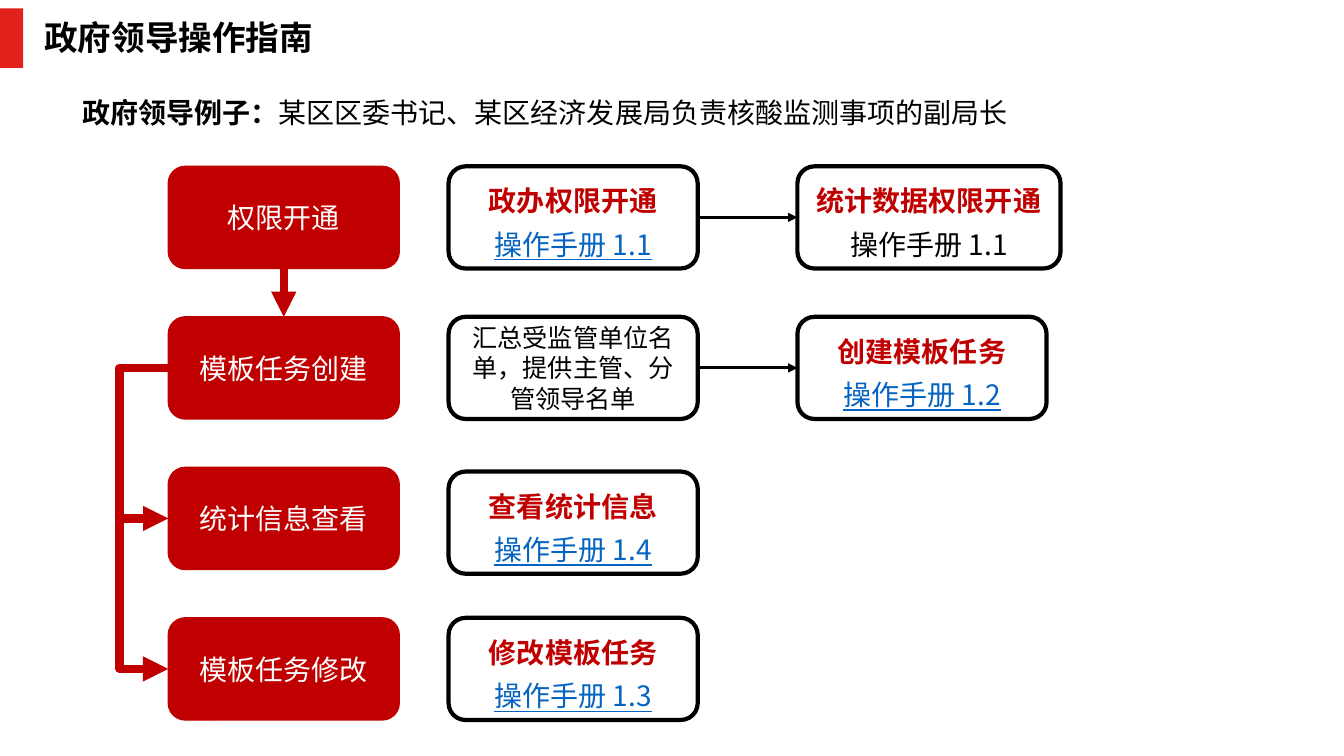
from dataclasses import dataclass

from lxml import etree
from pptx import Presentation
from pptx import util as u
from pptx.dml.color import RGBColor
from pptx.enum import shapes, text
from pptx.oxml.ns import qn

Pt = u.Pt
FONT = "Noto Sans CJK SC"
COLORS = {"accent": "E2211C", "red": "C00000", "black": "000000",
          "white": "FFFFFF", "link": "0563C1"}

ROW_TOP, ROW_PITCH = 118.8, 107.5
BOX_HEIGHT = 73
STAGE_LEFT, STAGE_WIDTH = 120.2, 165
STEP_LEFT, NEXT_LEFT, STEP_WIDTH = 320.4, 569.6, 178
LOOP_LEFT = 85.5


@dataclass
class Step:
    row: int
    left: float
    heading: str
    manual: str
    width: float = STEP_WIDTH
    linked: bool = True
    shift: float = 0


STAGES = ["权限开通", "模板任务创建", "统计信息查看", "模板任务修改"]
STEPS = [
    Step(0, STEP_LEFT, "政办权限开通", "操作手册 1.1"),
    Step(0, NEXT_LEFT, "统计数据权限开通", "操作手册 1.1", 188, False),
    Step(1, NEXT_LEFT, "创建模板任务", "操作手册 1.2"),
    Step(2, STEP_LEFT, "查看统计信息", "操作手册 1.4", shift=3),
    Step(3, STEP_LEFT, "修改模板任务", "操作手册 1.3"),
]


def color(name: str) -> RGBColor:
    return RGBColor.from_string(COLORS[name])


def row_top(row: int) -> float:
    return ROW_TOP + row * ROW_PITCH


def format_run(run, size: float, color_name: str, bold: bool = False,
               underline: bool = False) -> None:
    """Format a run, naming the font for Latin and East Asian letters."""
    font = run.font
    font.name, font.size, font.bold = FONT, Pt(size), bold
    font.color.rgb = color(color_name)
    if underline:
        font.underline = True
    latin = run._r.get_or_add_rPr().find(qn("a:latin"))
    east_asian = etree.Element(qn("a:ea"), typeface=FONT)
    latin.addnext(east_asian)


def add_box(slide, left: float, top: float, width: float, label: str, size: float,
            text_color: str, fill: str | None = None, line: str = "black",
            weight: float = 3):
    box = slide.shapes.add_shape(shapes.MSO_SHAPE.ROUNDED_RECTANGLE, Pt(left),
                                 Pt(top), Pt(width), Pt(BOX_HEIGHT))
    box.shadow.inherit = False
    if fill:
        box.fill.solid()
        box.fill.fore_color.rgb = color(fill)
    else:
        box.fill.background()
    box.line.color.rgb = color(line)
    box.line.width = Pt(weight)
    frame = box.text_frame
    frame.word_wrap = True
    frame.vertical_anchor = text.MSO_ANCHOR.MIDDLE
    frame.text = label
    for paragraph in frame.paragraphs:
        paragraph.alignment = text.PP_ALIGN.CENTER
        format_run(paragraph.runs[0], size, text_color)
    return box


def add_step(slide, step: Step):
    box = add_box(slide, step.left, row_top(step.row) + step.shift, step.width,
                  f"{step.heading}\n{step.manual}", 20, "black")
    heading, manual = box.text_frame.paragraphs
    heading.line_spacing = manual.line_spacing = 1.3
    heading.runs[0].font.bold = True
    heading.runs[0].font.color.rgb = color("red")
    if step.linked:
        manual.runs[0].font.color.rgb = color("link")
        manual.runs[0].font.underline = True
    return box


def style_arrow(arrow, color_name: str, weight: float) -> None:
    arrow.line.color.rgb = color(color_name)
    arrow.line.width = Pt(weight)
    etree.SubElement(arrow.line._get_or_add_ln(), qn("a:tailEnd"), type="triangle")


def add_straight_arrow(slide, color_name: str, weight: float):
    arrow = slide.shapes.add_connector(shapes.MSO_CONNECTOR.STRAIGHT, 0, 0, 0, 0)
    style_arrow(arrow, color_name, weight)
    etree.SubElement(arrow._element.spPr, qn("a:effectLst"))
    return arrow


def join(slide, start, start_side: int, end, end_side: int, color_name: str,
         weight: float) -> None:
    arrow = add_straight_arrow(slide, color_name, weight)
    arrow.begin_connect(start, start_side)
    arrow.end_connect(end, end_side)


def add_loop(slide) -> None:
    """Draw the bent arrow from the second stage round to the last one."""
    start, end = (row_top(row) + BOX_HEIGHT / 2 for row in (1, 3))
    builder = slide.shapes.build_freeform(Pt(STAGE_LEFT), Pt(start))
    builder.add_line_segments([(Pt(LOOP_LEFT), Pt(start)), (Pt(LOOP_LEFT), Pt(end)),
                               (Pt(STAGE_LEFT), Pt(end))], close=False)
    loop = builder.convert_to_shape()
    loop.fill.background()
    loop.shadow.inherit = False
    style_arrow(loop, "red", 6)


def add_title(slide) -> None:
    marker = slide.shapes.add_shape(shapes.MSO_SHAPE.RECTANGLE, 0, Pt(6),
                                    Pt(16.6), Pt(42.5))
    marker.shadow.inherit = False
    marker.fill.solid()
    marker.fill.fore_color.rgb = color("accent")
    marker.line.fill.background()

    title = slide.shapes.title
    title.left, title.top, title.width, title.height = Pt(28), Pt(15), Pt(695), Pt(26.6)
    frame = title.text_frame
    frame.margin_left = frame.margin_right = Pt(3.6)
    frame.margin_top = frame.margin_bottom = Pt(3.6)
    frame.vertical_anchor = text.MSO_ANCHOR.MIDDLE
    frame.text = "政府领导操作指南"
    paragraph = frame.paragraphs[0]
    paragraph.alignment = text.PP_ALIGN.LEFT
    paragraph.line_spacing = 0.9
    format_run(paragraph.runs[0], 24, "black", bold=True)


def add_example(slide) -> None:
    box = slide.shapes.add_textbox(Pt(51.6), Pt(64.8), Pt(681), Pt(31.5))
    box.text_frame.word_wrap = False
    paragraph = box.text_frame.paragraphs[0]
    for wording, bold in (("政府领导例子：", True),
                          ("某区区委书记、某区经济发展局负责核酸监测事项的副局长", False)):
        run = paragraph.add_run()
        run.text = wording
        format_run(run, 20, "black", bold)


def main() -> None:
    presentation = Presentation()
    presentation.slide_width, presentation.slide_height = Pt(960), Pt(540)
    slide = presentation.slides.add_slide(presentation.slide_layouts[5])
    add_title(slide)
    add_example(slide)

    stages = [add_box(slide, STAGE_LEFT, row_top(row), STAGE_WIDTH, label, 20,
                      "white", "red", "red", 1)
              for row, label in enumerate(STAGES)]
    access, statistics_access, template, *_ = [add_step(slide, step) for step in STEPS]
    summary = add_box(slide, STEP_LEFT, row_top(1), STEP_WIDTH,
                      "汇总受监管单位名单，提供主管、分管领导名单", 18, "black")

    join(slide, access, 3, statistics_access, 1, "black", 2.25)
    join(slide, summary, 3, template, 1, "black", 2.25)
    join(slide, stages[0], 2, stages[1], 0, "red", 6)
    add_loop(slide)
    branch = add_straight_arrow(slide, "red", 6)
    branch.begin_x, branch.begin_y = Pt(LOOP_LEFT), Pt(row_top(2) + BOX_HEIGHT / 2)
    branch.end_connect(stages[2], 1)

    presentation.save("out.pptx")


if __name__ == "__main__":
    main()
